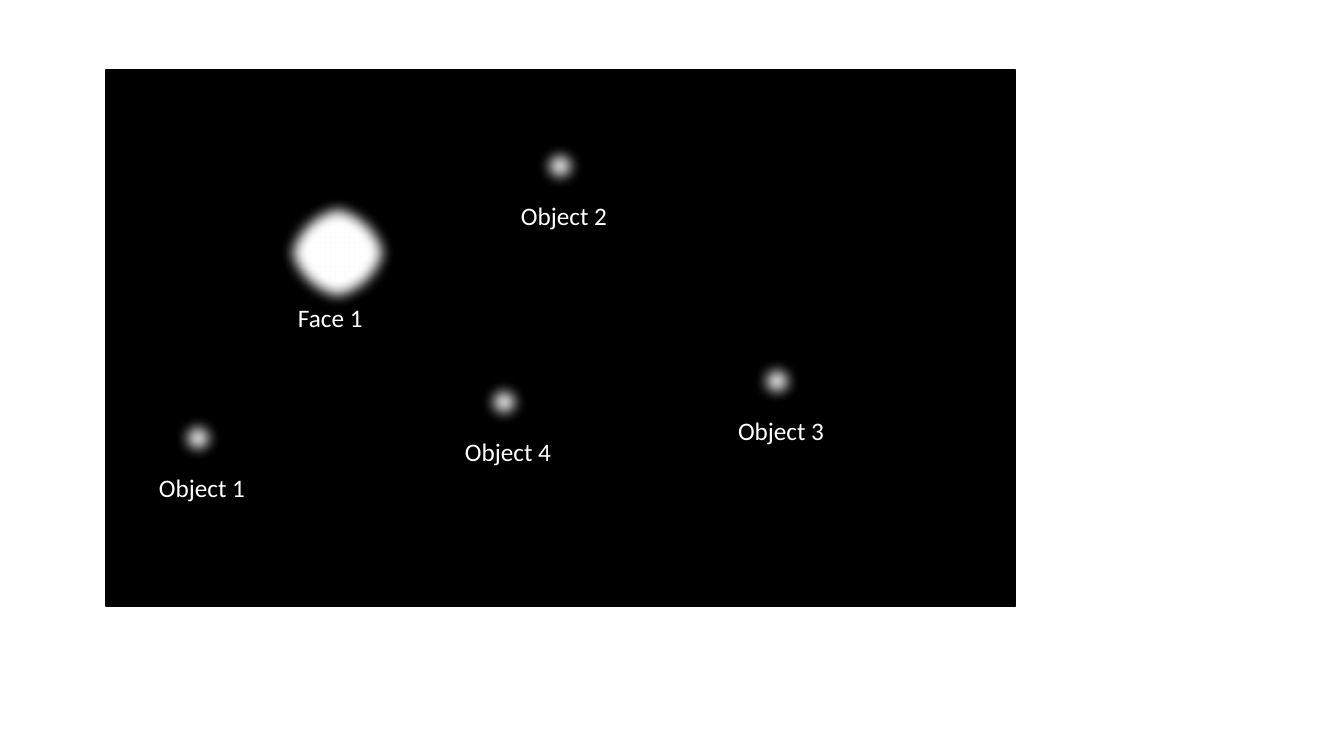
from dataclasses import dataclass

from lxml import etree
from pptx import Presentation
from pptx.dml.color import RGBColor
from pptx.enum.shapes import MSO_SHAPE
from pptx.enum.text import MSO_AUTO_SIZE
from pptx.oxml.ns import qn
from pptx.util import Emu, Inches, Pt

RECTANGLE = MSO_SHAPE.RECTANGLE
OVAL = MSO_SHAPE.OVAL
FIT_SHAPE = MSO_AUTO_SIZE.SHAPE_TO_FIT_TEXT
BLANK_LAYOUT = 6

# Lengths are in pixels
PIXEL = 914400 / 100.8
FIELD = (106, 70, 909, 536)
LABEL_SIZE = (217, 40)
FACE_SIZE, FACE_LABEL_OFFSET = (119, 115), (10, 102)
OBJECT_SIZE, OBJECT_LABEL_OFFSET = (58, 56), (-20, 57)

FACES = [("Face 1", 278, 195)]
OBJECTS = [
    ("Object 1", 169, 410),
    ("Object 2", 531, 138),
    ("Object 3", 748, 353),
    ("Object 4", 475, 374),
]


@dataclass(frozen=True)
class Theme:
    """Colours, type and effects of the slide."""
    field: RGBColor = RGBColor(0x00, 0x00, 0x00)
    glow: RGBColor = RGBColor(0xFF, 0xFF, 0xFF)
    outline: RGBColor = RGBColor(0x32, 0x54, 0x91)
    label: RGBColor = RGBColor(0xFF, 0xFF, 0xFF)
    font: str = "Calibri"
    label_size: Pt = Pt(18)
    line_width: Pt = Pt(1)
    soft_edge: Pt = Pt(10)


THEME = Theme()


def to_emu(*pixels):
    """Turn pixel lengths into EMU."""
    return [Emu(round(pixel * PIXEL)) for pixel in pixels]


def add_filled_shape(slide, kind, box, fill, outline):
    """Add a preset shape with a solid fill and a thin outline."""
    shape = slide.shapes.add_shape(kind, *to_emu(*box))
    shape.shadow.inherit = False
    shape.fill.solid()
    shape.fill.fore_color.rgb = fill
    shape.line.color.rgb = outline
    shape.line.width = THEME.line_width
    return shape


def soften_edge(shape):
    """Fade the rim of a shape."""
    effects = shape.element.spPr.find(qn("a:effectLst"))
    soft_edge = etree.SubElement(effects, qn("a:softEdge"))
    soft_edge.set("rad", str(int(THEME.soft_edge)))


def add_label(slide, text, left, top):
    """Add the name of a spot as a text box."""
    box = slide.shapes.add_textbox(*to_emu(left, top, *LABEL_SIZE))
    frame = box.text_frame
    frame.word_wrap = True
    frame.auto_size = FIT_SHAPE
    run = frame.paragraphs[0].add_run()
    run.text = text
    run.font.name = THEME.font
    run.font.size = THEME.label_size
    run.font.color.rgb = THEME.label


def add_spots(slide, spots, size, label_offset):
    """Add soft spots of one size, each with its label."""
    for name, left, top in spots:
        box = (left, top, *size)
        spot = add_filled_shape(slide, OVAL, box, THEME.glow, THEME.outline)
        soften_edge(spot)
        add_label(slide, name, left + label_offset[0], top + label_offset[1])


def main():
    """Build and save the slide."""
    presentation = Presentation()
    presentation.slide_width = Inches(13.33)
    presentation.slide_height = Inches(7.5)
    slide = presentation.slides.add_slide(presentation.slide_layouts[BLANK_LAYOUT])
    add_filled_shape(slide, RECTANGLE, FIELD, THEME.field, THEME.field)
    add_spots(slide, FACES, FACE_SIZE, FACE_LABEL_OFFSET)
    add_spots(slide, OBJECTS, OBJECT_SIZE, OBJECT_LABEL_OFFSET)
    presentation.save("out.pptx")


main()
